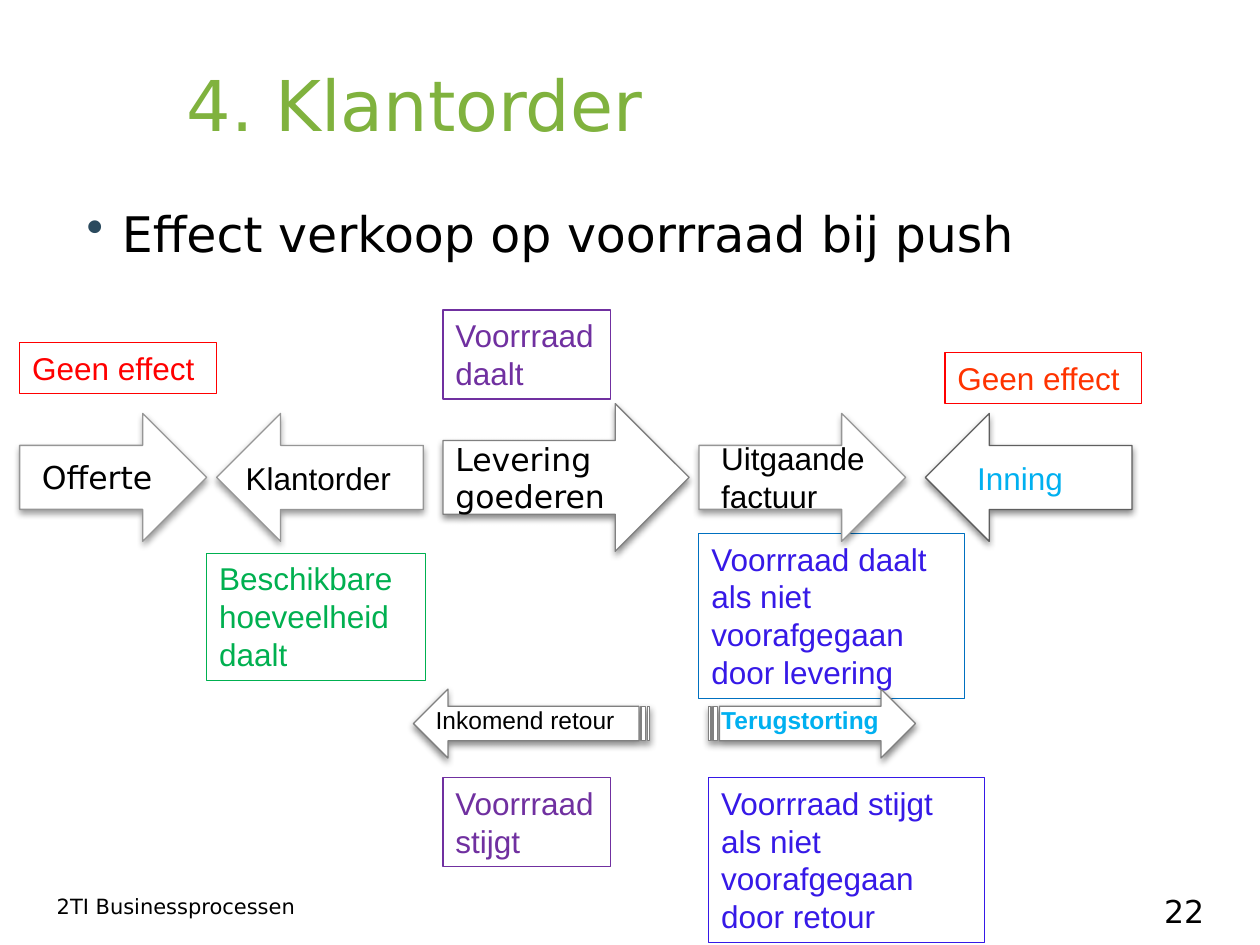
from lxml import etree
from pptx import Presentation, util as u
from pptx.dml.color import RGBColor
from pptx.enum import shapes, text
from pptx.oxml import ns

BLACK = RGBColor(0, 0, 0)
WHITE = RGBColor(255, 255, 255)
RED = RGBColor(0xFF, 0, 0)
ORANGE = RGBColor(0xFF, 0x33, 0)
GREEN = RGBColor(0, 0xB0, 0x50)
PURPLE = RGBColor(0x70, 0x30, 0xA0)
INDIGO = RGBColor(0x36, 0x19, 0xE7)
BLUE = RGBColor(0, 0x70, 0xC0)
CYAN = RGBColor(0, 0xB0, 0xF0)
TITLE_GREEN = RGBColor(0x80, 0xB2, 0x3E)
SILVER = RGBColor(0x96, 0x96, 0x96)
GREY = RGBColor(0x80, 0x80, 0x80)
DARK_GREY = RGBColor(0x5F, 0x5F, 0x5F)
SANS, ARIAL = "DejaVu Sans", "Arial"

deck = Presentation()
deck.slide_width, deck.slide_height = u.Inches(10), u.Inches(7.5)
slide = deck.slides.add_slide(deck.slide_layouts[5])

# The slide is a grid of 128 columns and 96 rows of square cells
CELL = deck.slide_width / 128


def cells(*counts):
    return [u.Emu(round(n * CELL)) for n in counts]


def write(shape, words, size, color, font=ARIAL, bold=False,
          align=text.PP_ALIGN.LEFT, anchor=text.MSO_ANCHOR.TOP):
    frame = shape.text_frame
    frame.word_wrap = True
    frame.auto_size = text.MSO_AUTO_SIZE.NONE
    frame.vertical_anchor = anchor
    paragraph = frame.paragraphs[0]
    paragraph.alignment = align
    run = paragraph.add_run()
    run.text = words
    run.font.size, run.font.name, run.font.bold = u.Pt(size), font, bold
    run.font.color.rgb = color
    return paragraph


# Title
title = slide.shapes.title
title.left, title.top, title.width, title.height = cells(17.7, 3, 103.4, 15)
write(title, "4. Klantorder", 40, TITLE_GREEN, SANS, anchor=text.MSO_ANCHOR.MIDDLE)

# Bullet line
effect = slide.shapes.add_textbox(*cells(6, 20, 115.2, 10))
bullet = write(effect, "Effect verkoop op voorrraad bij push", 28, BLACK, SANS)
bullet.space_before = u.Pt(3)
props = bullet._p.get_or_add_pPr()
props.set("marL", str(u.Inches(0.4)))
props.set("indent", str(u.Inches(-0.28)))
bullet_color = etree.SubElement(props, ns.qn("a:buClr"))
etree.SubElement(bullet_color, ns.qn("a:srgbClr"), val="2B4A5E")
etree.SubElement(props, ns.qn("a:buChar"), char="\u2022")

# Footer and page number
footer = slide.shapes.add_textbox(*cells(4.5, 90.1, 70, 3.9))
write(footer, "2TI Businessprocessen", 12, BLACK, SANS)
page = slide.shapes.add_textbox(*cells(117, 90, 10.6, 5.1))
write(page, "22", 18, BLACK, SANS)

# Framed stock effects: column, row, width, lines, frame, text colour, wording
effects = [
    (2, 34.8, 20, 1, RED, RED, "Geen effect"),
    (96, 35.8, 20, 1, RED, ORANGE, "Geen effect"),
    (21, 56.2, 22.2, 3, GREEN, GREEN, "Beschikbare hoeveelheid daalt"),
    (45, 31.5, 17, 2, PURPLE, PURPLE, "Voorrraad daalt"),
    (45, 79, 17, 2, PURPLE, PURPLE, "Voorrraad stijgt"),
    (72, 79, 28, 4, INDIGO, INDIGO,
     "Voorrraad stijgt als niet voorafgegaan door retour"),
    (71, 54.2, 27, 4, BLUE, INDIGO,
     "Voorrraad daalt als niet voorafgegaan door levering"),
]
for column, row, width, lines, frame_color, color, words in effects:
    note = slide.shapes.add_textbox(*cells(column, row, width, 1.3 + 3.87 * lines))
    note.line.color.rgb = frame_color
    note.line.width = u.Pt(0.75)
    write(note, words, 18, color)

# Process arrows: column, row, width, height, preset, points left, outline,
# shadow opacity, text inside (wording, alignment), label on top
# (wording, column, row, width, lines, size, colour, bold, filled)
ARROW = shapes.MSO_SHAPE.RIGHT_ARROW
STRIPED = shapes.MSO_SHAPE.STRIPED_RIGHT_ARROW
LEFT, CENTER = text.PP_ALIGN.LEFT, text.PP_ALIGN.CENTER
steps = [
    (2, 42, 19, 13, ARROW, False, SILVER, 40, ("Offerte", CENTER), None),
    (22, 42, 21, 13, ARROW, True, SILVER, 40, None,
     ("Klantorder", 23.7, 46, 22, 1, 18, BLACK, False, False)),
    (45, 41, 25, 15, ARROW, False, GREY, 45, ("Levering goederen", LEFT), None),
    (71, 42, 21, 13, ARROW, False, SILVER, 40, None,
     ("Uitgaande factuur", 72, 44, 18, 2, 18, BLACK, False, False)),
    (94, 42, 21, 13, ARROW, True, DARK_GREY, 45, None,
     ("Inning", 98, 46, 16, 1, 18, CYAN, False, True)),
    (42, 70, 24, 7, STRIPED, True, GREY, 45, None,
     ("Inkomend retour", 43, 71, 26, 1, 14, BLACK, False, False)),
    (72, 70, 21, 7, STRIPED, False, GREY, 45, None,
     ("Terugstorting", 72, 71, 20, 1, 14, CYAN, True, False)),
]
for (column, row, width, height, preset, points_left, outline, opacity,
     inside, label) in steps:
    arrow = slide.shapes.add_shape(preset, *cells(column, row, width, height))
    arrow.rotation = 180 if points_left else 0
    arrow.fill.solid()
    arrow.fill.fore_color.rgb = WHITE
    arrow.line.color.rgb = outline
    arrow.line.width = u.Pt(0.75)

    # Soft shadow straight below
    arrow.shadow.inherit = False
    effect_list = arrow._element.spPr.find(ns.qn("a:effectLst"))
    shadow = etree.SubElement(
        effect_list, ns.qn("a:outerShdw"), blurRad=str(u.Pt(4)),
        dist=str(u.Pt(2)), dir="5400000", rotWithShape="0")
    shade = etree.SubElement(shadow, ns.qn("a:srgbClr"), val="000000")
    etree.SubElement(shade, ns.qn("a:alpha"), val=str(opacity * 1000))

    if inside:
        words, align = inside
        write(arrow, words, 18, BLACK, SANS, align=align,
              anchor=text.MSO_ANCHOR.MIDDLE)
    if label:
        words, column, row, width, lines, size, color, bold, filled = label
        caption = slide.shapes.add_textbox(
            *cells(column, row, width, 1.3 + 0.215 * size * lines))
        if filled:
            caption.fill.solid()
            caption.fill.fore_color.rgb = WHITE
        write(caption, words, size, color, bold=bold)

deck.save("out.pptx")
